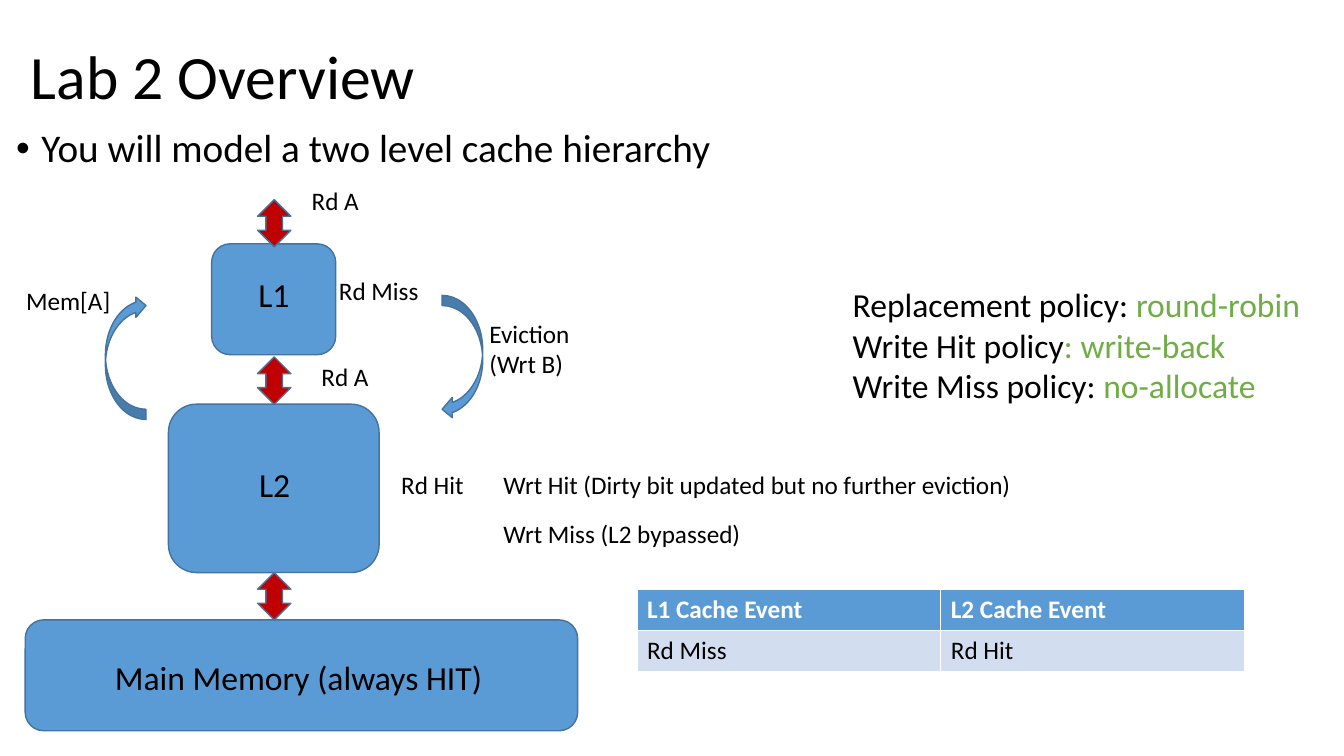
import dataclasses

import lxml.etree
import pptx
import pptx.dml.color
import pptx.enum.shapes
import pptx.enum.text
import pptx.oxml.ns
import pptx.util

Pt = pptx.util.Pt
SHAPES = pptx.enum.shapes.MSO_SHAPE


def rgb(value):
    return pptx.dml.color.RGBColor.from_string(value)


@dataclasses.dataclass(frozen=True)
class Theme:
    font: str = "Calibri"
    text: str = "000000"
    header_text: str = "FFFFFF"
    answer: str = "70AD47"
    block: str = "5B9BD5"
    outline: str = "43739E"
    transfer: str = "C00000"
    table_row: str = "D2DEEF"
    title_size: int = 44
    body_size: int = 28
    heading_size: int = 24
    label_size: int = 18


class SlideBuilder:
    def __init__(self, slide, theme):
        self.slide = slide
        self.theme = theme

    def style_paragraph(self, paragraph, size, color, bold=False):
        paragraph.font.name = self.theme.font
        paragraph.font.size = Pt(size)
        paragraph.font.bold = bold
        if color:
            paragraph.font.color.rgb = rgb(color)

    def text_frame(self, left, top, width, height, wrap=False):
        box = self.slide.shapes.add_textbox(Pt(left), Pt(top), Pt(width), Pt(height))
        box.text_frame.word_wrap = wrap
        return box.text_frame

    def title(self, text, left, top, width, height):
        frame = self.text_frame(left, top, width, height, wrap=True)
        frame.vertical_anchor = pptx.enum.text.MSO_ANCHOR.MIDDLE
        paragraph = frame.paragraphs[0]
        paragraph.text = text
        paragraph.line_spacing = 0.9
        self.style_paragraph(paragraph, self.theme.title_size, self.theme.text)

    def bullet(self, text, left, top, width, height):
        paragraph = self.text_frame(left, top, width, height, wrap=True).paragraphs[0]
        paragraph.text = text
        paragraph.line_spacing = 0.9
        properties = paragraph._p.get_or_add_pPr()
        properties.set("marL", str(Pt(18)))
        properties.set("indent", str(-Pt(18)))
        for tag, name, value in (("a:buFont", "typeface", "Arial"), ("a:buChar", "char", "•")):
            element = lxml.etree.SubElement(properties, pptx.oxml.ns.qn(tag))
            element.set(name, value)
        self.style_paragraph(paragraph, self.theme.body_size, self.theme.text)

    def label(self, lines, left, top, width, height, size):
        frame = self.text_frame(left, top, width, height)
        frame.text = lines
        for paragraph in frame.paragraphs:
            self.style_paragraph(paragraph, size, self.theme.text)

    def policies(self, pairs, left, top, width, height):
        """Write one line per pair: a name in the text colour, then its answer."""
        frame = self.text_frame(left, top, width, height)
        for index, pair in enumerate(pairs):
            paragraph = frame.add_paragraph() if index else frame.paragraphs[0]
            for text, color in zip(pair, (self.theme.text, self.theme.answer)):
                run = paragraph.add_run()
                run.text = text
                run.font.color.rgb = rgb(color)
            self.style_paragraph(paragraph, self.theme.heading_size, None)

    def shape(self, kind, left, top, width, height, fill, rotation=0):
        shape = self.slide.shapes.add_shape(kind, Pt(left), Pt(top), Pt(width), Pt(height))
        shape.shadow.inherit = False
        shape.rotation = rotation
        shape.fill.solid()
        shape.fill.fore_color.rgb = rgb(fill)
        shape.line.color.rgb = rgb(self.theme.outline)
        shape.line.width = Pt(1)

    def table(self, rows, left, top, width, height):
        table = self.slide.shapes.add_table(
            len(rows), len(rows[0]), Pt(left), Pt(top), Pt(width), Pt(height)).table
        for row_index, row in enumerate(rows):
            header = row_index == 0
            for column_index, text in enumerate(row):
                cell = table.cell(row_index, column_index)
                cell.text = text
                cell.fill.solid()
                cell.fill.fore_color.rgb = rgb(self.theme.block if header else self.theme.table_row)
                self.style_paragraph(
                    cell.text_frame.paragraphs[0], self.theme.label_size,
                    self.theme.header_text if header else self.theme.text, header)


def main():
    presentation = pptx.Presentation()
    presentation.slide_width = Pt(960)
    presentation.slide_height = Pt(540)
    theme = Theme()
    builder = SlideBuilder(presentation.slides.add_slide(presentation.slide_layouts[6]), theme)

    builder.title("Lab 2 Overview", 15, 4.5, 828, 104.4)
    builder.bullet("You will model a two level cache hierarchy", 4.5, 88.5, 828, 343)

    memory_levels = (
        (151.2, 174.2, 88.6, 79.2),
        (120.3, 288.7, 150.5, 120.3),
        (18, 442.8, 394.6, 79.2),
    )
    for bounds in memory_levels:
        builder.shape(SHAPES.ROUNDED_RECTANGLE, *bounds, theme.block)
    for top in (142.6, 255, 409):
        builder.shape(SHAPES.UP_DOWN_ARROW, 184, top, 23.8, 33.8, theme.transfer)
    for left, rotation in ((45.5, 270), (286, 90)):
        builder.shape(SHAPES.CURVED_DOWN_ARROW, left, 240.8, 88.6, 29, theme.block, rotation)

    level_names = (
        ("L1", 177.4, 192.3, 36.7),
        ("L2", 178, 328, 36.7),
        ("Main Memory (always HIT)", 75, 466, 279.4),
    )
    for text, left, top, width in level_names:
        builder.label(text, left, top, width, 36, theme.heading_size)

    event_labels = (
        ("Rd A", 215.5, 129, 49, 29),
        ("Rd Miss", 235, 193, 72, 29),
        ("Rd A", 222.5, 254.5, 49, 29),
        ("Mem[A]", 11.5, 200.5, 75.6, 29),
        ("Eviction\n(Wrt B)", 342.5, 224, 72.7, 51),
        ("Rd Hit", 279.5, 332, 59.8, 29),
        ("Wrt Hit (Dirty bit updated but no further eviction)", 352.5, 332, 381.6, 29),
        ("Wrt Miss (L2 bypassed)", 352.5, 366.5, 185.8, 29),
    )
    for text, *bounds in event_labels:
        builder.label(text, *bounds, theme.label_size)

    builder.policies((
        ("Replacement policy: ", "round-robin"),
        ("Write Hit policy", ": write-back"),
        ("Write Miss policy: ", "no-allocate"),
    ), 602, 199.5, 337, 94.3)

    builder.table((
        ("L1 Cache Event", "L2 Cache Event"),
        ("Rd Miss", "Rd Hit"),
    ), 455, 421.2, 434, 58.4)

    presentation.save("out.pptx")


if __name__ == "__main__":
    main()
